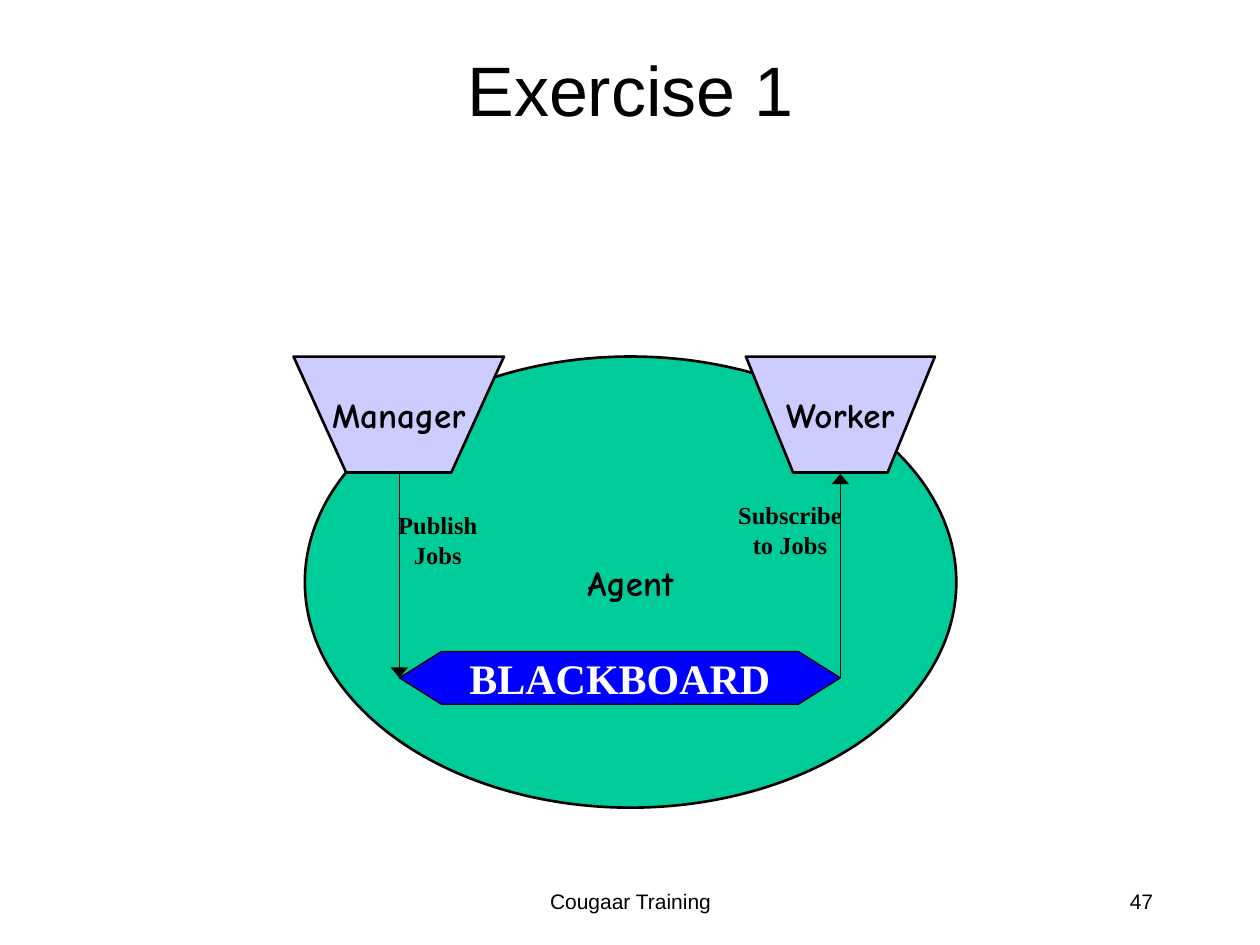
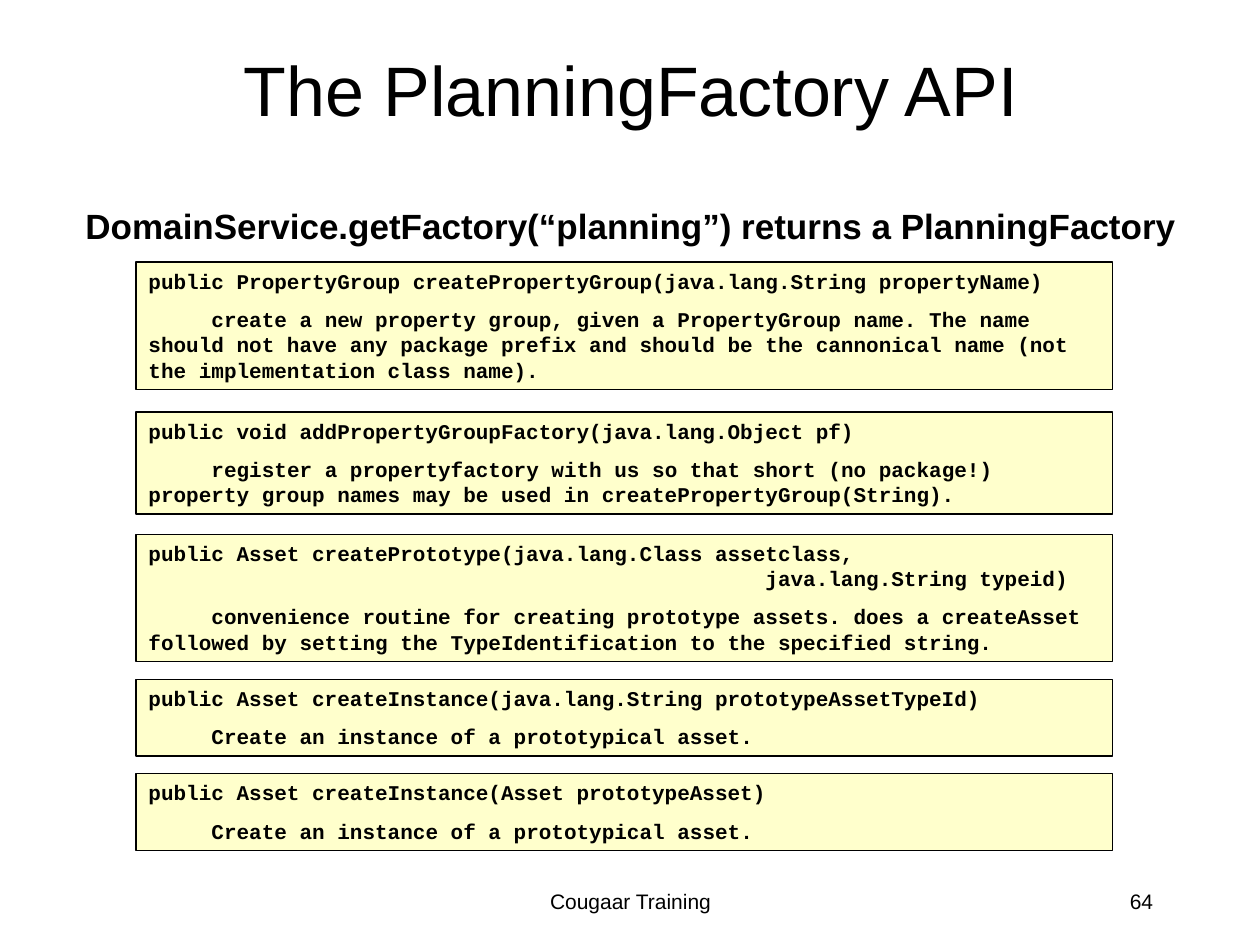
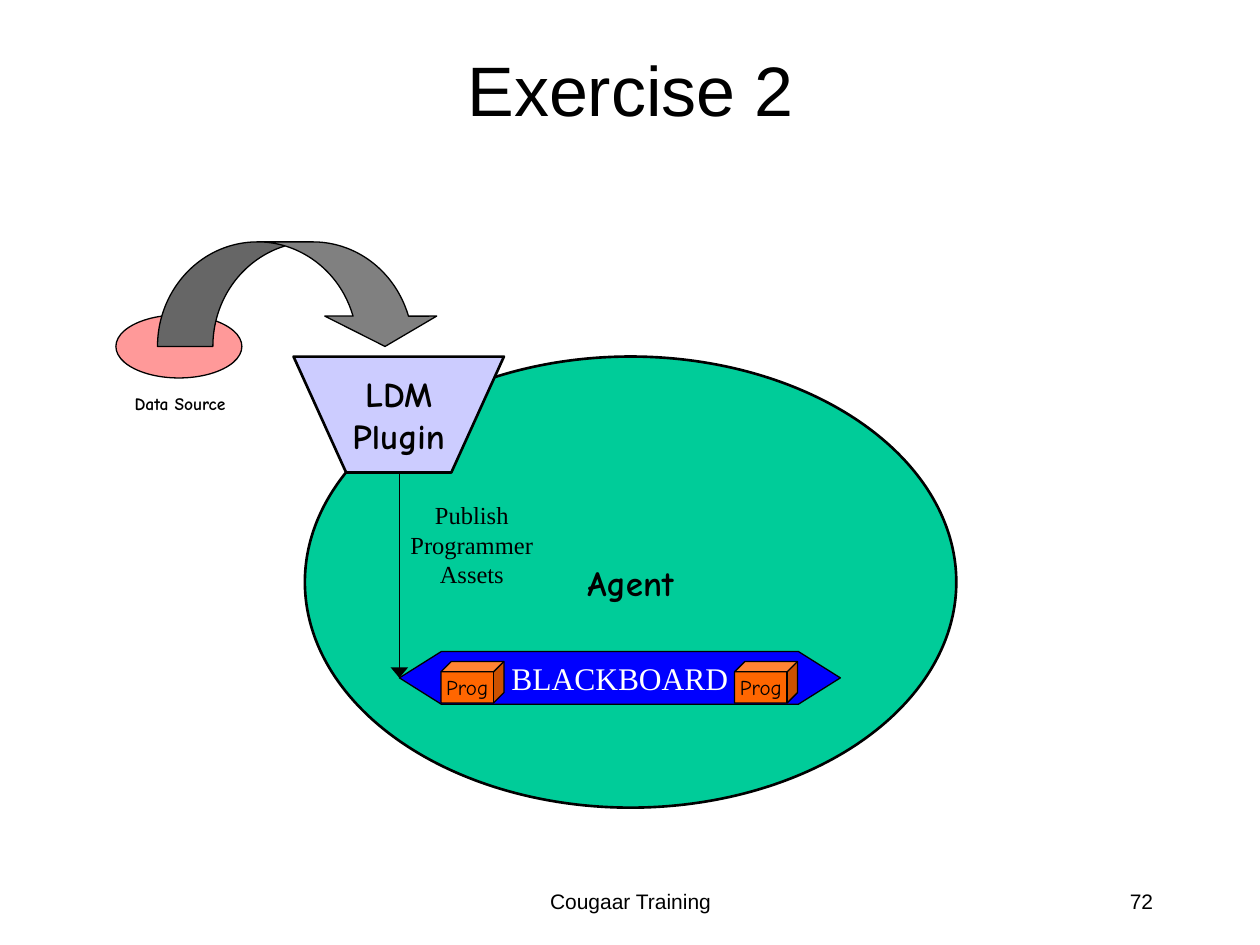
from lxml.etree import SubElement
from pptx import Presentation
from pptx.dml.color import RGBColor
from pptx.enum.shapes import MSO_CONNECTOR, MSO_SHAPE
from pptx.enum.text import MSO_ANCHOR, PP_ALIGN
from pptx.oxml.ns import qn
from pptx.util import Inches, Pt

BLACK, WHITE = "000000", "FFFFFF"
GREEN, LAVENDER, BLUE = "00CC99", "CCCCFF", "0000FF"
CREAM, PINK, GREY, ORANGE = "FFFFCC", "FF9999", "808080", "FF6600"
SANS, HAND, CODE, SERIF = "Arial", "Comic Neue", "Courier New", "Times New Roman"

METHODS = [
    (2.08, 1.01, "public PropertyGroup createPropertyGroup(java.lang.String propertyName)",
     "create a new property group, given a PropertyGroup name. The name should not have any "
     "package prefix and should be the cannonical name (not the implementation class name)."),
    (3.27, 0.81, "public void addPropertyGroupFactory(java.lang.Object pf)",
     "register a propertyfactory with us so that short (no package!) property group names "
     "may be used in createPropertyGroup(String)."),
    (4.24, 1.01, "public Asset createPrototype(java.lang.Class assetclass,\v"
     + " " * 49 + "java.lang.String typeid)",
     "convenience routine for creating prototype assets. does a createAsset followed by "
     "setting the TypeIdentification to the specified string."),
    (5.39, 0.61, "public Asset createInstance(java.lang.String prototypeAssetTypeId)",
     "Create an instance of a prototypical asset."),
    (6.14, 0.61, "public Asset createInstance(Asset prototypeAsset)",
     "Create an instance of a prototypical asset."),
]


def rgb(color):
    return RGBColor.from_string(color)


def write(shape, lines, size, font, color=BLACK, bold=False, align=PP_ALIGN.CENTER,
          anchor=MSO_ANCHOR.MIDDLE, wrap=False):
    frame = shape.text_frame
    frame.word_wrap = wrap
    frame.vertical_anchor = anchor
    for index, line in enumerate(lines):
        paragraph = frame.paragraphs[0] if index == 0 else frame.add_paragraph()
        paragraph.text = line
        paragraph.alignment = align
        paragraph.font.size = Pt(size)
        paragraph.font.name = font
        paragraph.font.bold = bold
        paragraph.font.color.rgb = rgb(color)
    return frame.paragraphs


def paint(shape, fill, width=0.75):
    shape.shadow.inherit = False
    shape.fill.solid()
    shape.fill.fore_color.rgb = rgb(fill)
    shape.line.color.rgb = rgb(BLACK)
    shape.line.width = Pt(width)
    return shape


def add_label(slide, box, lines, size, font, anchor=MSO_ANCHOR.TOP, **style):
    label = slide.shapes.add_textbox(*map(Inches, box))
    write(label, lines, size, font, anchor=anchor, **style)


def add_figure(slide, preset, box, fill, width=0.75, adjustments=()):
    figure = paint(slide.shapes.add_shape(preset, *map(Inches, box)), fill, width)
    for index, value in enumerate(adjustments):
        figure.adjustments[index] = value
    return figure


def add_plugin(slide, left, width, lines):
    top, bottom = 2.83, 3.75
    inset = width / 4
    right = left + width
    outline = slide.shapes.build_freeform(Inches(left), Inches(top), scale=1.0)
    corners = [(right, top), (right - inset, bottom), (left + inset, bottom)]
    outline.add_line_segments([(Inches(x), Inches(y)) for x, y in corners], close=True)
    write(paint(outline.convert_to_shape(), LAVENDER, 1.5), lines, 20, HAND, bold=True)


def add_agent(slide):
    agent = add_figure(slide, MSO_SHAPE.OVAL, (2.42, 2.83, 5.17, 3.58), GREEN, 1.5)
    write(agent, ["Agent"], 20, HAND, bold=True)


def add_blackboard(slide, size, bold):
    blackboard = add_figure(slide, MSO_SHAPE.HEXAGON, (3.17, 5.17, 3.5, 0.42), BLUE,
                            adjustments=[0.795])
    write(blackboard, ["BLACKBOARD"], size, SERIF, WHITE, bold)


def add_arrow(slide, x, start, end):
    arrow = slide.shapes.add_connector(MSO_CONNECTOR.STRAIGHT, Inches(x), Inches(start),
                                       Inches(x), Inches(end))
    arrow.line.color.rgb = rgb(BLACK)
    arrow.line.width = Pt(0.75)
    SubElement(arrow.line._get_or_add_ln(), qn("a:tailEnd"), type="triangle", w="lg")
    SubElement(arrow._element.spPr, qn("a:effectLst"))


def add_method(slide, top, height, signature, description):
    method = add_figure(slide, MSO_SHAPE.RECTANGLE, (1.08, top, 7.75, height), CREAM)
    purpose = write(method, [signature, description], 12, CODE, bold=True,
                    align=PP_ALIGN.LEFT, anchor=MSO_ANCHOR.TOP, wrap=True)[1]
    purpose.space_before = Pt(7.5)
    purpose._p.get_or_add_pPr().set("indent", str(Inches(0.5)))


def add_page(deck, title, number):
    slide = deck.slides.add_slide(deck.slide_layouts[6])
    add_label(slide, (1.42, 0.08, 7.17, 1.25), [title], 40, SANS,
              anchor=MSO_ANCHOR.MIDDLE, wrap=True)
    add_label(slide, (3.42, 7, 3.17, 0.5), ["Cougaar Training"], 12, SANS, wrap=True)
    add_label(slide, (7.17, 7, 2.08, 0.5), [str(number)], 12, SANS,
              align=PP_ALIGN.RIGHT, wrap=True)
    return slide


def build_exercise_1(deck):
    slide = add_page(deck, "Exercise 1", 47)
    add_agent(slide)
    add_plugin(slide, 2.33, 1.67, ["Manager"])
    add_plugin(slide, 5.92, 1.5, ["Worker"])
    add_blackboard(slide, 24, True)
    add_arrow(slide, 3.17, 3.76, 5.38)
    add_arrow(slide, 6.67, 5.38, 3.76)
    add_label(slide, (3.06, 4, 0.83, 0.57), ["Publish", "Jobs"], 14, SERIF, bold=True)
    add_label(slide, (5.76, 3.92, 1.02, 0.57), ["Subscribe", "to Jobs"], 14, SERIF, bold=True)


def build_planning_factory(deck):
    slide = add_page(deck, "The PlanningFactory API", 64)
    add_label(slide, (0.58, 1.57, 8.86, 0.44),
              ["DomainService.getFactory(“planning”) returns a PlanningFactory"],
              20, SANS, bold=True, align=PP_ALIGN.LEFT)
    for method in METHODS:
        add_method(slide, *method)


def build_exercise_2(deck):
    slide = add_page(deck, "Exercise 2", 72)
    add_agent(slide)
    add_plugin(slide, 2.33, 1.67, ["LDM", "Plugin"])
    add_blackboard(slide, 18, False)
    add_arrow(slide, 3.17, 3.76, 5.38)
    add_label(slide, (3.11, 3.92, 1.27, 0.8), ["Publish", "Programmer", "Assets"], 14, SERIF)
    add_figure(slide, MSO_SHAPE.OVAL, (0.92, 2.5, 1, 0.5), PINK)
    add_label(slide, (0.97, 3.07, 0.93, 0.27), ["Data Source"], 10, HAND, bold=True,
              align=PP_ALIGN.LEFT)
    add_figure(slide, MSO_SHAPE.CURVED_DOWN_ARROW, (1.25, 1.92, 2.25, 0.83), GREY,
               adjustments=[0.53, 1.07, 0.29])
    for left in (3.5, 5.83):
        programmer = add_figure(slide, MSO_SHAPE.CUBE, (left, 5.25, 0.5, 0.33), ORANGE,
                                adjustments=[0.25])
        write(programmer, ["Prog"], 12, HAND)


def main():
    deck = Presentation()
    deck.slide_width, deck.slide_height = Inches(10), Inches(7.5)
    build_exercise_1(deck)
    build_planning_factory(deck)
    build_exercise_2(deck)
    deck.save("out.pptx")


if __name__ == "__main__":
    main()
